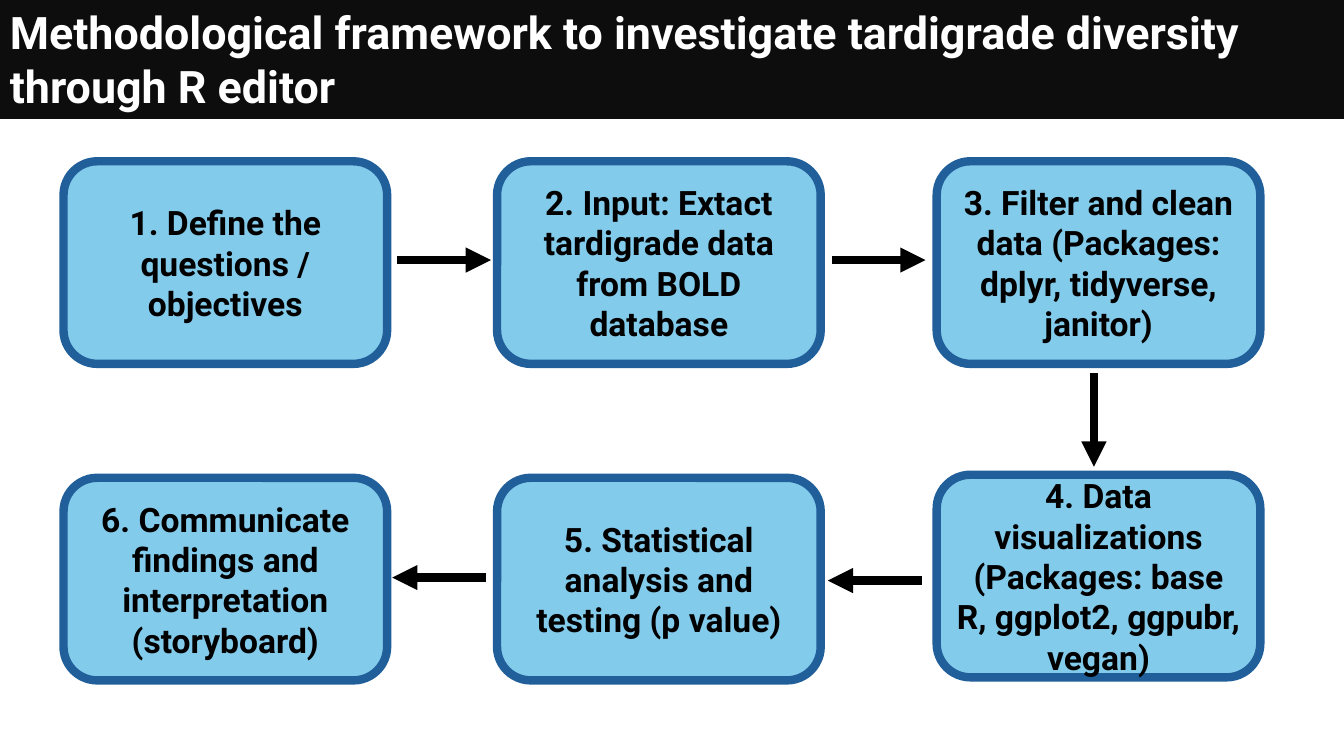
from dataclasses import dataclass

from lxml import etree
from pptx import Presentation
from pptx.dml.color import RGBColor
from pptx.enum.shapes import MSO_CONNECTOR, MSO_SHAPE
from pptx.enum.text import MSO_ANCHOR, PP_ALIGN
from pptx.oxml.ns import qn
from pptx.util import Inches, Pt

RECTANGLE = MSO_SHAPE.RECTANGLE
ROUNDED_RECTANGLE = MSO_SHAPE.ROUNDED_RECTANGLE
STRAIGHT = MSO_CONNECTOR.STRAIGHT
TOP, MIDDLE = MSO_ANCHOR.TOP, MSO_ANCHOR.MIDDLE
LEFT, CENTER = PP_ALIGN.LEFT, PP_ALIGN.CENTER


@dataclass(frozen=True)
class Theme:
    font: str = "Roboto"
    title_size: float = 32
    step_size: float = 24
    line_width: float = 6
    black: RGBColor = RGBColor(0x00, 0x00, 0x00)
    white: RGBColor = RGBColor(0xFF, 0xFF, 0xFF)
    banner: RGBColor = RGBColor(0x0D, 0x0D, 0x0D)
    step_fill: RGBColor = RGBColor(0x83, 0xCB, 0xEB)
    step_line: RGBColor = RGBColor(0x21, 0x5F, 0x9A)


@dataclass(frozen=True)
class Step:
    text: str
    left: float
    top: float


@dataclass(frozen=True)
class Arrow:
    x: float
    y: float
    dx: float = 0
    dy: float = 0


THEME = Theme()
SLIDE_WIDTH, SLIDE_HEIGHT = 13.33, 7.5
BANNER_HEIGHT = 1.18
STEP_WIDTH, STEP_HEIGHT = 3.21, 2.01
COLUMNS = (0.63, 4.93, 9.29)
UPPER_ROW, LOWER_ROW = 1.6, 4.74
ARROW_LENGTH = 0.93

TITLE = "Methodological framework to investigate tardigrade diversity through R editor"
STEPS = (
    Step("1. Define the questions / objectives", COLUMNS[0], UPPER_ROW),
    Step("2. Input: Extact tardigrade data from BOLD database", COLUMNS[1], UPPER_ROW),
    Step("3. Filter and clean data (Packages: dplyr, tidyverse, janitor)",
         COLUMNS[2], UPPER_ROW),
    Step("4. Data visualizations (Packages: base R, ggplot2, ggpubr, vegan)",
         COLUMNS[2], LOWER_ROW - 0.03),
    Step("5. Statistical analysis and testing (p value)", COLUMNS[1], LOWER_ROW),
    Step("6. Communicate findings and interpretation (storyboard)",
         COLUMNS[0], LOWER_ROW),
)
ARROWS = (
    Arrow(3.94, 2.58, dx=ARROW_LENGTH),
    Arrow(8.25, 2.58, dx=ARROW_LENGTH),
    Arrow(10.85, 3.7, dy=ARROW_LENGTH),
    Arrow(9.14, 5.76, dx=-ARROW_LENGTH),
    Arrow(4.82, 5.73, dx=-ARROW_LENGTH),
)


def add_block(slide, kind, left: float, top: float, width: float, height: float,
              fill: RGBColor, line: RGBColor | None = None):
    """Add a filled shape, outlined when a line colour is given."""
    shape = slide.shapes.add_shape(
        kind, Inches(left), Inches(top), Inches(width), Inches(height))
    shape.shadow.inherit = False
    shape.fill.solid()
    shape.fill.fore_color.rgb = fill
    if line is None:
        shape.line.fill.background()
    else:
        shape.line.color.rgb = line
        shape.line.width = Pt(THEME.line_width)
    return shape


def write_text(shape, text: str, *, size: float, color: RGBColor,
               align=CENTER, anchor=MIDDLE) -> None:
    """Write one bold paragraph into a shape."""
    frame = shape.text_frame
    frame.word_wrap = True
    frame.vertical_anchor = anchor
    paragraph = frame.paragraphs[0]
    paragraph.alignment = align
    run = paragraph.add_run()
    run.text = text
    run.font.name = THEME.font
    run.font.size = Pt(size)
    run.font.bold = True
    run.font.color.rgb = color


def add_step(slide, step: Step) -> None:
    shape = add_block(slide, ROUNDED_RECTANGLE, step.left, step.top,
                      STEP_WIDTH, STEP_HEIGHT, THEME.step_fill, THEME.step_line)
    write_text(shape, step.text, size=THEME.step_size, color=THEME.black)


def add_arrow(slide, arrow: Arrow) -> None:
    connector = slide.shapes.add_connector(
        STRAIGHT, Inches(arrow.x), Inches(arrow.y),
        Inches(arrow.x + arrow.dx), Inches(arrow.y + arrow.dy))
    connector.line.color.rgb = THEME.black
    connector.line.width = Pt(THEME.line_width)
    # Arrowhead at the end, and no shadow
    line = connector.line._get_or_add_ln()
    etree.SubElement(line, qn("a:tailEnd"), type="triangle")
    etree.SubElement(connector._element.spPr, qn("a:effectLst"))


def main() -> None:
    presentation = Presentation()
    presentation.slide_width = Inches(SLIDE_WIDTH)
    presentation.slide_height = Inches(SLIDE_HEIGHT)
    slide = presentation.slides.add_slide(presentation.slide_layouts[6])

    # Title banner
    banner = add_block(slide, RECTANGLE, 0, 0, SLIDE_WIDTH, BANNER_HEIGHT, THEME.banner)
    write_text(banner, TITLE, size=THEME.title_size, color=THEME.white,
               align=LEFT, anchor=TOP)

    # Workflow steps and the arrows between them
    for step in STEPS:
        add_step(slide, step)
    for arrow in ARROWS:
        add_arrow(slide, arrow)

    presentation.save("out.pptx")


if __name__ == "__main__":
    main()
